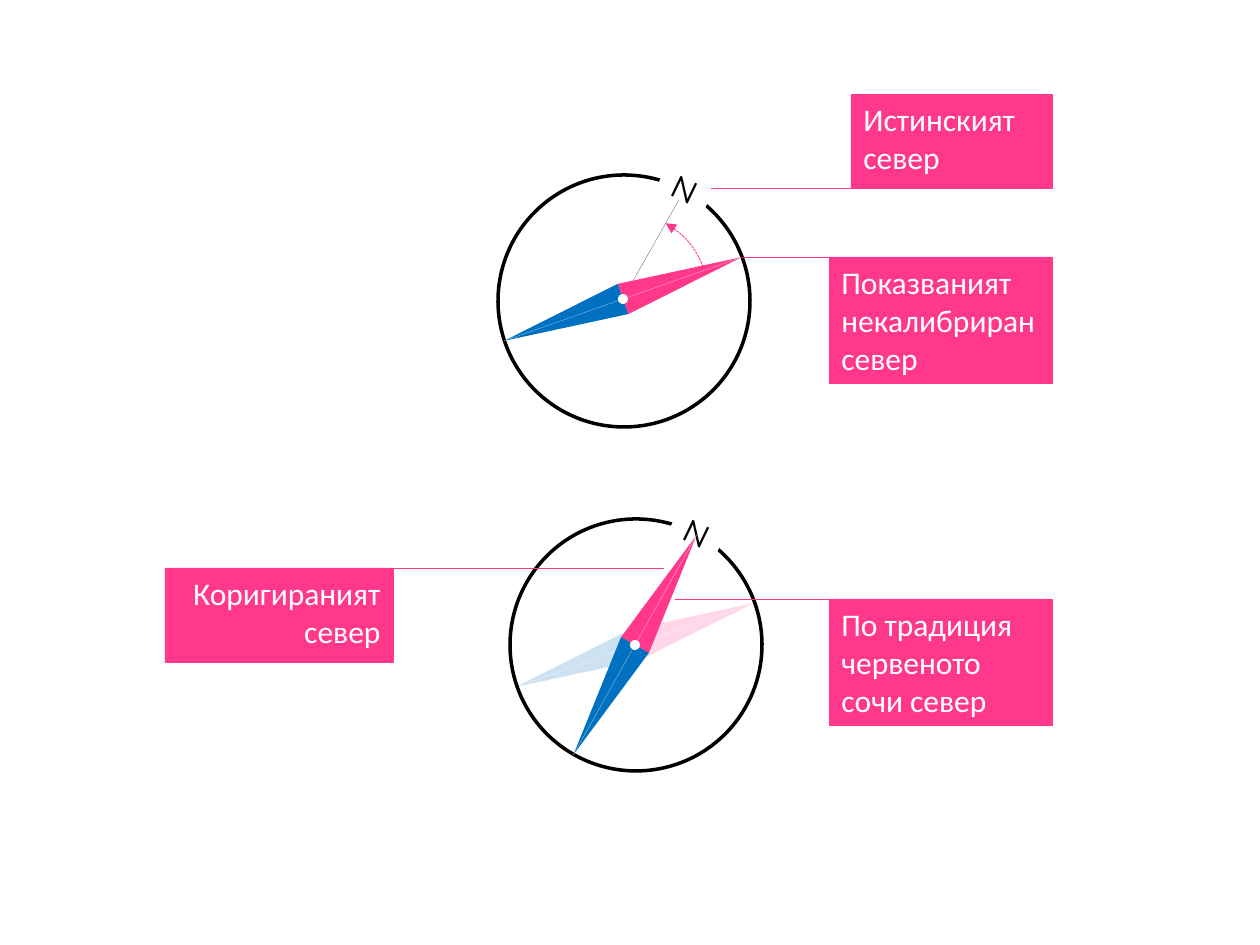
from dataclasses import dataclass
from math import cos, radians, sin

from lxml import etree
from pptx import Presentation
from pptx.dml.color import RGBColor
from pptx.enum.dml import MSO_LINE
from pptx.enum.shapes import MSO_CONNECTOR, MSO_SHAPE
from pptx.enum.text import MSO_ANCHOR, PP_ALIGN
from pptx.oxml.ns import qn
from pptx.util import Pt

PX = 914400 / 126
RECT, OVAL = MSO_SHAPE.RECTANGLE, MSO_SHAPE.OVAL
TRIANGLE, ARC = MSO_SHAPE.ISOSCELES_TRIANGLE, MSO_SHAPE.ARC
STRAIGHT = MSO_CONNECTOR.STRAIGHT
DASH = MSO_LINE.SQUARE_DOT
TOP, MIDDLE = MSO_ANCHOR.TOP, MSO_ANCHOR.MIDDLE
LEFT, CENTER, RIGHT = PP_ALIGN.LEFT, PP_ALIGN.CENTER, PP_ALIGN.RIGHT


@dataclass(frozen=True)
class Theme:
    pink: str = "FF388C"
    blue: str = "0070C0"
    white: str = "FFFFFF"
    black: str = "000000"
    label_font: str = "Calibri"
    north_font: str = "Montserrat"
    text_size: int = 18
    hairline: float = 0.25
    arc_line: float = 0.5
    dial_line: float = 2


THEME = Theme()
NEEDLE_LENGTH, NEEDLE_WIDTH, HUB_SIZE = 126, 32, 10
DIAL_SIZE, DIAL_TILT = 252, 25.7


def emu(*lengths):
    return [round(length * PX) for length in lengths]


def set_opacity(fill_parent, percent):
    color = fill_parent.find(".//" + qn("a:srgbClr"))
    etree.SubElement(color, qn("a:alpha"), val=str(percent * 1000))


def style_line(line, color, width):
    line.color.rgb = RGBColor.from_string(color)
    line.width = Pt(width)


def add_block(slide, kind, box, fill=None, outline=None, width=THEME.hairline, tilt=0):
    block = slide.shapes.add_shape(kind, *emu(*box))
    block.shadow.inherit = False
    block.rotation = tilt
    if fill:
        block.fill.solid()
        block.fill.fore_color.rgb = RGBColor.from_string(fill)
    else:
        block.fill.background()
    if outline:
        style_line(block.line, outline, width)
    else:
        block.line.fill.background()
    return block


def add_centered(slide, kind, center, size, **style):
    (x, y), (w, h) = center, size
    return add_block(slide, kind, (x - w / 2, y - h / 2, w, h), **style)


def add_line(slide, start, end, color, opacity=100):
    line = slide.shapes.add_connector(STRAIGHT, *emu(*start, *end))
    style_line(line.line, color, THEME.hairline)
    if opacity < 100:
        set_opacity(line.line._get_or_add_ln(), opacity)
    etree.SubElement(line._element.spPr, qn("a:effectLst"))


def write(block, text, font, color, align, anchor):
    frame = block.text_frame
    frame.word_wrap = True
    frame.vertical_anchor = anchor
    frame.text = text
    paragraph = frame.paragraphs[0]
    paragraph.alignment = align
    paragraph.font.name = font
    paragraph.font.size = Pt(THEME.text_size)
    paragraph.font.color.rgb = RGBColor.from_string(color)


def add_needle(slide, hub, angle):
    """Draw a needle whose pink half points angle degrees clockwise from up."""
    x, y = hub
    dx, dy = sin(radians(angle)), -cos(radians(angle))
    half = NEEDLE_LENGTH / 2
    for side, color, turn in ((1, THEME.pink, 0), (-1, THEME.blue, 180)):
        middle = (x + side * half * dx, y + side * half * dy)
        add_centered(slide, TRIANGLE, middle, (NEEDLE_WIDTH, NEEDLE_LENGTH),
                     fill=color, tilt=angle + turn)
    add_centered(slide, OVAL, hub, (HUB_SIZE, HUB_SIZE), fill=THEME.white, tilt=angle)
    reach_x, reach_y = NEEDLE_LENGTH * dx, NEEDLE_LENGTH * dy
    add_line(slide, (x + reach_x, y + reach_y), (x - reach_x, y - reach_y),
             THEME.white, opacity=50)


def add_dial(slide, center):
    """Draw the translucent dial with its N and the line of true north."""
    x, y = center
    dial = add_centered(slide, OVAL, center, (DIAL_SIZE, DIAL_SIZE), fill=THEME.white,
                        outline=THEME.black, width=THEME.dial_line, tilt=DIAL_TILT)
    set_opacity(dial._element.spPr.find(qn("a:solidFill")), 80)
    north = add_centered(slide, RECT, (x + 61, y - 112), (53, 50),
                         fill=THEME.white, tilt=DIAL_TILT)
    write(north, "N", THEME.north_font, THEME.black, CENTER, MIDDLE)
    add_line(slide, (x + 55, y - 101), (x + 1, y - 6), THEME.black, opacity=50)


def add_correction_arc(slide, box, start, end):
    """Draw a dashed arc between two angles in degrees, with its arrow at start."""
    arc = add_block(slide, ARC, box, outline=THEME.pink, width=THEME.arc_line)
    arc.line.dash_style = DASH
    # Angles are stored in 60000ths of a degree, adjustments in 100000ths.
    arc.adjustments[0], arc.adjustments[1] = start * 0.6, end * 0.6
    etree.SubElement(arc.line._get_or_add_ln(), qn("a:headEnd"), type="triangle")


def add_callout(slide, text, box, leader_x, leader_y, align=LEFT):
    """Draw a label whose leader runs along one edge and on to leader_x."""
    left, _, width, _ = box
    label = add_block(slide, RECT, box, fill=THEME.pink, outline=THEME.pink)
    write(label, text, THEME.label_font, THEME.white, align, TOP)
    far_x = left + width if leader_x < left else left
    add_line(slide, (leader_x, leader_y), (far_x, leader_y), THEME.pink)


def main():
    deck = Presentation()
    deck.slide_width, deck.slide_height = emu(1260, 945)
    slide = deck.slides.add_slide(deck.slide_layouts[6])

    uncalibrated, calibrated = 70.6, 29.3
    lower_hub = (635, 645)

    add_dial(slide, (624, 301))
    add_needle(slide, (623, 299), uncalibrated)
    add_correction_arc(slide, (538, 212, 171, 172), 299.4, 339.9)

    add_needle(slide, lower_hub, uncalibrated)
    add_dial(slide, (636, 645))
    add_needle(slide, lower_hub, calibrated)

    add_callout(slide, "Истинският север", (851, 94, 201, 94), 711, 188)
    add_callout(slide, "Показваният некалибриран\vсевер", (829, 257, 223, 126), 743, 257)
    add_callout(slide, "Коригираният север", (165, 568, 228, 94), 664, 568, RIGHT)
    add_callout(slide, "По традиция червеното сочи север", (829, 599, 223, 126), 675, 599)

    deck.save("out.pptx")


if __name__ == "__main__":
    main()
